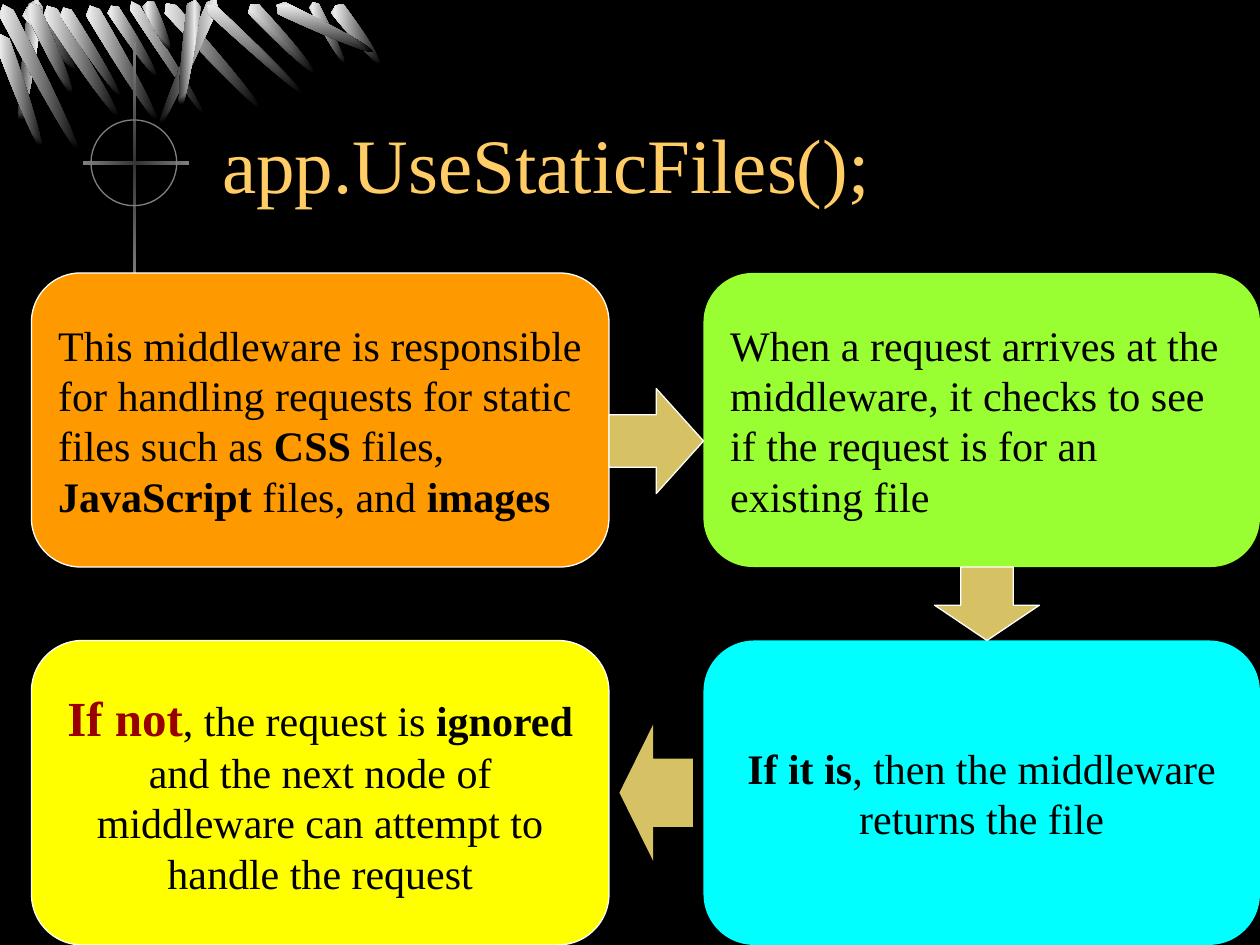
import copy

import lxml.etree
import pptx
import pptx.dml.color
import pptx.enum.shapes
import pptx.enum.text
import pptx.oxml.ns
import pptx.util

Pt = pptx.util.Pt
RGBColor = pptx.dml.color.RGBColor
Shape = pptx.enum.shapes.MSO_SHAPE
Align = pptx.enum.text.PP_ALIGN
Anchor = pptx.enum.text.MSO_ANCHOR
qn = pptx.oxml.ns.qn

BLACK = RGBColor(0x00, 0x00, 0x00)
WHITE = RGBColor(0xFF, 0xFF, 0xFF)
SILVER = RGBColor(0xEA, 0xEA, 0xEA)
GRAY = RGBColor(0x80, 0x80, 0x80)
DARK_GRAY = RGBColor(0x33, 0x33, 0x33)
GOLD = RGBColor(0xFF, 0xCC, 0x66)
SAND = RGBColor(0xD7, 0xC1, 0x65)
ORANGE = RGBColor(0xFF, 0x99, 0x00)
YELLOW = RGBColor(0xFF, 0xFF, 0x00)
GREEN = RGBColor(0x99, 0xFF, 0x33)
CYAN = RGBColor(0x00, 0xFF, 0xFF)
DARK_RED = RGBColor(0x99, 0x00, 0x00)

BLADE_UNITS = 1000
BLADE_PATH = [
    ("moveTo", [(0, 525)]),
    ("cubicBezTo", [(60, 805), (290, 1027), (530, 1028)]),
    ("cubicBezTo", [(800, 1027), (990, 800), (990, 530)]),
    ("lnTo", [(550, 500)]),
    ("close", []),
]
BLADES = [
    (16.6, -69.1, 8.6, 137.5, 7.7), (10.8, -37.4, 8.6, 84.2, 321.6),
    (22.3, -68.4, 8.6, 144, 327.3), (13, -51.8, 8.6, 108, 335.5),
    (32.4, -52.6, 7.2, 114.5, 327.3), (59.8, -41.8, 7.2, 90.7, 327.3),
    (72, -72.7, 5.8, 147.6, 327.3), (46.8, -69.1, 8.6, 145.4, 329.7),
    (90.7, -74.9, 7.9, 154.1, 318.1), (119.5, -77, 7.2, 152.6, 23.9),
    (107.3, -59.8, 7.9, 119.5, 7.7), (115.2, -68.4, 6.5, 142.6, 313.1),
    (139, -47.5, 7.9, 100.8, 316.9), (175.7, -36, 5.8, 74.9, 332.7),
    (187.2, -36, 8.6, 78.5, 322.8), (-2.9, -87.1, 8.6, 180, 332.7),
    (80.6, -27.4, 7.2, 56.9, 335.5), (154.1, -54.7, 7.9, 115.9, 295.8),
    (-4.3, -46.1, 8.6, 131.8, 340.3),
]

LEFT, RIGHT = (18, 330), (402, 318)
TOP, BOTTOM = (156, 168), (366, 174)

CARDS = [
    (LEFT, TOP, ORANGE, WHITE, Align.LEFT, [
        ("This middleware is responsible for handling requests for static files such as ", {}),
        ("CSS", {"bold": True}), (" files, ", {}),
        ("JavaScript", {"bold": True}), (" files, and ", {}),
        ("images", {"bold": True})]),
    (LEFT, BOTTOM, YELLOW, WHITE, Align.CENTER, [
        ("If not", {"bold": True, "size": Pt(28), "color": DARK_RED}),
        (", the request is ", {}), ("ignored", {"bold": True}),
        (" and the next node of middleware can attempt to handle the request", {})]),
    (RIGHT, TOP, GREEN, None, Align.LEFT, [
        ("When a request arrives at the middleware, it checks to see if the request is for an existing file", {})]),
    (RIGHT, BOTTOM, CYAN, None, Align.CENTER, [
        ("If it is", {"bold": True}), (", then the middleware returns the file", {})]),
]

ARROWS = [
    (Shape.DOWN_ARROW, (534, 324, 60, 42), 0.48, WHITE),
    (Shape.RIGHT_ARROW, (348, 222, 54, 60), 0.5, WHITE),
    (Shape.LEFT_ARROW, (354, 414, 42, 78), 0.46, None),
]


class SlideBuilder:
    base_format = {"name": "Times New Roman", "size": Pt(24), "bold": False, "color": BLACK}

    def __init__(self, slide):
        self.slide = slide

    def paint(self, shape, fill=None, line=None):
        shape.shadow.inherit = False
        if fill is None:
            shape.fill.background()
        else:
            shape.fill.solid()
            shape.fill.fore_color.rgb = fill
        if line is None:
            shape.line.fill.background()
        else:
            shape.line.color.rgb = line
            shape.line.width = Pt(0.75)

    def gradient(self, shape, colors, angle=0):
        shape.fill.gradient()
        shape.fill.gradient_angle = angle
        stop_list = shape._element.spPr.find(".//" + qn("a:gsLst"))
        while len(stop_list) < len(colors):
            stop_list.append(copy.deepcopy(stop_list[-1]))
        for index, (stop, color) in enumerate(zip(shape.fill.gradient_stops, colors)):
            stop.position = index / (len(colors) - 1)
            stop.color.rgb = color

    def center_gradient(self, shape, colors):
        self.gradient(shape, colors)
        linear = shape._element.spPr.find(".//" + qn("a:lin"))
        focus = lxml.etree.Element(qn("a:path"), path="rect")
        sides = dict.fromkeys("ltrb", "50000")
        lxml.etree.SubElement(focus, qn("a:fillToRect"), sides)
        linear.getparent().replace(linear, focus)

    def shape(self, kind, box, fill=None, line=None, adjustments=()):
        shape = self.slide.shapes.add_shape(kind, *map(Pt, box))
        self.paint(shape, fill, line)
        for index, value in enumerate(adjustments):
            shape.adjustments[index] = value
        return shape

    def text(self, shape, runs, alignment=Align.LEFT):
        frame = shape.text_frame
        for name, value in {"word_wrap": True, "vertical_anchor": Anchor.MIDDLE}.items():
            setattr(frame, name, value)
        paragraph = frame.paragraphs[0]
        paragraph.alignment = alignment
        for content, changes in runs:
            run = paragraph.add_run()
            run.text = content
            for name, value in {**self.base_format, **changes}.items():
                if name == "color":
                    run.font.color.rgb = value
                else:
                    setattr(run.font, name, value)

    def title(self, box, content):
        shape = self.slide.shapes.add_textbox(*map(Pt, box))
        self.text(shape, [(content, {"size": Pt(44), "color": GOLD})])

    def blade(self, left, top, width, height, rotation):
        builder = self.slide.shapes.build_freeform(Pt(left), Pt(top))
        builder.add_line_segments([(Pt(left + width), Pt(top + height))])
        shape = builder.convert_to_shape()
        outline = shape._element.spPr.find(".//" + qn("a:pathLst"))[0]
        for child in list(outline):
            outline.remove(child)
        for side in "wh":
            outline.set(side, str(BLADE_UNITS))
        for command, points in BLADE_PATH:
            segment = lxml.etree.SubElement(outline, qn("a:" + command))
            for x, y in points:
                lxml.etree.SubElement(segment, qn("a:pt"), x=str(x), y=str(y))
        self.paint(shape)
        self.center_gradient(shape, [SILVER, BLACK])
        shape.rotation = rotation

    def bar(self, box, angle):
        shape = self.shape(Shape.RECTANGLE, box)
        self.gradient(shape, [GRAY, DARK_GRAY, GRAY], angle)


def main():
    presentation = pptx.Presentation()
    presentation.slide_width, presentation.slide_height = Pt(720), Pt(540)
    slide = presentation.slides.add_slide(presentation.slide_layouts[6])
    slide.background.fill.solid()
    slide.background.fill.fore_color.rgb = BLACK
    builder = SlideBuilder(slide)

    for blade in BLADES:
        builder.blade(*blade)
    builder.bar((75.8, 24, 2.2, 138), 270)
    builder.bar((47.5, 92, 60.5, 2.2), 0)
    builder.shape(Shape.OVAL, (52, 68.5, 49, 49), line=GRAY)

    builder.title((120, 48, 600, 90), "app.UseStaticFiles();")
    for (left, width), (top, height), fill, line, alignment, runs in CARDS:
        card = builder.shape(Shape.ROUNDED_RECTANGLE, (left, top, width, height), fill, line, [0.167])
        builder.text(card, runs, alignment)
    for kind, box, head, line in ARROWS:
        builder.shape(kind, box, SAND, line, [0.5, head])

    presentation.save("out.pptx")


if __name__ == "__main__":
    main()
